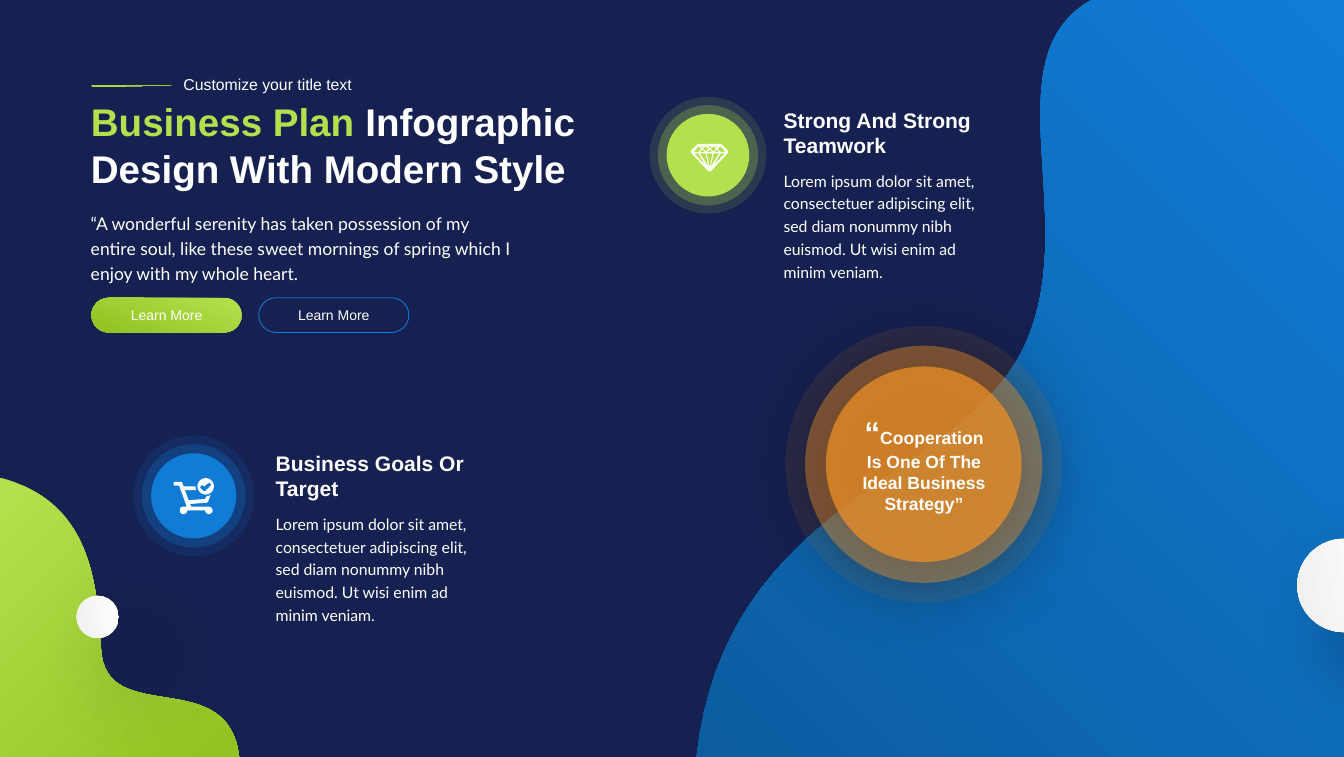
from dataclasses import dataclass
from math import cos, pi, sin

from lxml.etree import SubElement
from pptx import Presentation
from pptx.dml.color import RGBColor
from pptx.enum.shapes import MSO_SHAPE
from pptx.enum.text import MSO_ANCHOR, MSO_AUTO_SIZE, PP_ALIGN
from pptx.oxml.ns import qn
from pptx.util import Inches, Pt

NAVY = RGBColor(0x16, 0x21, 0x51)
BLUE = RGBColor(0x10, 0x7C, 0xD6)
DEEP_BLUE = RGBColor(0x0C, 0x5D, 0xA0)
LIME = RGBColor(0xB3, 0xE1, 0x4D)
GREEN = RGBColor(0x90, 0xC2, 0x21)
ORANGE = RGBColor(0xF6, 0x93, 0x26)
WHITE = RGBColor(0xFF, 0xFF, 0xFF)
PALE = RGBColor(0xF0, 0xF0, 0xF0)
LOREM = ("Lorem ipsum dolor sit amet, consectetuer adipiscing elit, "
         "sed diam nonummy nibh euismod. Ut wisi enim ad minim veniam.")


@dataclass
class Gradient:
    first: RGBColor
    last: RGBColor
    angle: float
    start: float = 0.01


@dataclass
class Badge:
    cx: float
    cy: float
    diameters: tuple
    color: RGBColor
    alphas: tuple = (13, 25, 100)


@dataclass
class Topic:
    heading: str
    left: float
    top: float
    body_width: float


def paint(fill, color) -> None:
    if isinstance(color, Gradient):
        fill.gradient()
        fill.gradient_angle = (360 - color.angle) % 360
        first, last = fill.gradient_stops
        first.color.rgb, first.position = color.first, color.start
        last.color.rgb, last.position = color.last, 1.0
    elif color is None:
        fill.background()
    else:
        fill.solid()
        fill.fore_color.rgb = color


def finish(sp, color):
    sp.shadow.inherit = False
    paint(sp.fill, color)
    sp.line.fill.background()
    return sp


def add_shadow(sp, blur: float, distance: float, angle: int) -> None:
    effects = sp._element.spPr.find(qn("a:effectLst"))
    shadow = SubElement(effects, qn("a:outerShdw"), blurRad=str(Pt(blur)), dist=str(Pt(distance)),
                        dir=str(angle * 60000), algn="ctr", rotWithShape="0")
    black = SubElement(shadow, qn("a:srgbClr"), val="000000")
    SubElement(black, qn("a:alpha"), val="40000")


def add_circle(s, cx: float, cy: float, d: float, color, alpha: int = 100):
    sp = s.shapes.add_shape(MSO_SHAPE.OVAL, Inches(cx - d / 2), Inches(cy - d / 2), Inches(d), Inches(d))
    finish(sp, color)
    if alpha < 100:
        clr = sp._element.spPr.find(qn("a:solidFill")).find(qn("a:srgbClr"))
        SubElement(clr, qn("a:alpha"), val=str(alpha * 1000))
    return sp


def flatten(steps: list, n: int = 32) -> list:
    points = []
    for step in steps:
        if len(step) == 2:
            points.append(step)
            continue
        x0, y0 = points[-1]
        x1, y1, x2, y2, x3, y3 = step
        for i in range(1, n + 1):
            t = i / n
            a, b, c, d = (1 - t) ** 3, 3 * t * (1 - t) ** 2, 3 * t * t * (1 - t), t ** 3
            points.append((a * x0 + b * x1 + c * x2 + d * x3, a * y0 + b * y1 + c * y2 + d * y3))
    return points


def add_outline(s, contours: list, color):
    contours = [[(Inches(x), Inches(y)) for x, y in flatten(c)] for c in contours]
    builder = s.shapes.build_freeform(*contours[0][0], scale=1.0)
    for i, points in enumerate(contours):
        if i:
            builder.move_to(*points[0])
        builder.add_line_segments(points[1:], close=True)
    return finish(builder.convert_to_shape(), color)


def add_text(s, box: tuple, text: str, size: int, font: str = "Arial", bold: bool = False, spacing=None):
    tf = s.shapes.add_textbox(*map(Inches, box)).text_frame
    tf.word_wrap = True
    tf.auto_size = MSO_AUTO_SIZE.SHAPE_TO_FIT_TEXT
    p = tf.paragraphs[0]
    p.line_spacing = spacing
    set_font(p.font, size, font, bold)
    p.add_run().text = text
    return p


def set_font(font, size: int, name: str = "Arial", bold: bool = False) -> None:
    font.size, font.name, font.bold = Pt(size), name, bold
    font.color.rgb = WHITE


def add_button(s, left: float, fill, line=None) -> None:
    sp = s.shapes.add_shape(MSO_SHAPE.ROUNDED_RECTANGLE, Inches(left), Inches(4.72), Inches(2.38), Inches(0.55))
    finish(sp, fill).adjustments[0] = 0.5
    if line is not None:
        sp.line.color.rgb, sp.line.width = line, Pt(1)
    sp.text_frame.vertical_anchor = MSO_ANCHOR.MIDDLE
    p = sp.text_frame.paragraphs[0]
    p.text, p.alignment = "Learn More", PP_ALIGN.CENTER
    set_font(p.font, 16)


def add_badge(s, badge: Badge) -> list:
    return [add_circle(s, badge.cx, badge.cy, d, badge.color, a)
            for d, a in zip(badge.diameters, badge.alphas)]


def add_topic(s, topic: Topic) -> None:
    add_text(s, (topic.left, topic.top, 3.69, 0.91), topic.heading, 24, bold=True)
    add_text(s, (topic.left, topic.top + 0.96, topic.body_width, 1.88), LOREM, 18, "Lato", spacing=1.2)


def add_title(s) -> None:
    title = s.shapes.title
    title.left, title.top, title.width, title.height = map(Inches, (1.34, 1.51, 8.24, 1.58))
    tf = title.text_frame
    tf.word_wrap, tf.auto_size, tf.vertical_anchor = True, MSO_AUTO_SIZE.NONE, MSO_ANCHOR.TOP
    p = tf.paragraphs[0]
    p.alignment = PP_ALIGN.LEFT
    for text, color in (("Business Plan ", Gradient(LIME, GREEN, 140)),
                        ("Infographic Design With Modern Style", WHITE)):
        r = p.add_run()
        r.text = text
        set_font(r.font, 44, bold=True)
        paint(r.font.fill, color)


def add_cart(s) -> None:
    badge = [(3.26 + 0.13 * cos(i * pi / 24), 7.71 + 0.13 * sin(i * pi / 24)) for i in range(48)]
    check = [(3.32, 7.65), (3.3, 7.66), (3.24, 7.71), (3.22, 7.7), (3.2, 7.69), (3.17, 7.72), (3.18, 7.74),
             (3.22, 7.78), (3.24, 7.79), (3.26, 7.78), (3.34, 7.7), (3.35, 7.68)]
    cart = [(2.99, 7.93), (3.25, 7.91), (3.27, 7.87), (3.3, 7.86, 3.32, 7.86, 3.34, 7.84), (3.3, 7.95),
            (3.29, 7.96, 3.28, 7.97, 3.27, 7.97), (3.01, 7.99), (3.03, 8.03), (3.31, 8.03),
            (3.34, 8.03, 3.37, 8.06, 3.37, 8.09), (3.37, 8.12, 3.34, 8.15, 3.31, 8.15),
            (3.28, 8.15, 3.25, 8.12, 3.25, 8.09), (2.97, 8.09), (2.97, 8.12, 2.94, 8.15, 2.91, 8.15),
            (2.87, 8.15, 2.85, 8.12, 2.85, 8.09), (2.85, 8.06, 2.87, 8.03, 2.91, 8.03), (2.96, 8.03),
            (2.84, 7.7), (2.78, 7.7), (2.76, 7.7, 2.75, 7.68, 2.75, 7.67), (2.75, 7.65, 2.76, 7.64, 2.78, 7.64),
            (2.87, 7.64), (2.88, 7.64, 2.89, 7.64, 2.89, 7.66), (2.91, 7.71), (3.1, 7.71),
            (3.1, 7.73, 3.1, 7.75, 3.11, 7.77), (2.93, 7.77)]
    add_outline(s, [badge, check, cart], WHITE)


def add_diamond(s) -> None:
    rim = [(11.53, 2.38), (11.44, 2.29), (11.41, 2.28), (11.08, 2.28), (11.05, 2.29), (10.96, 2.38), (10.95, 2.41),
           (10.96, 2.43), (11.22, 2.71), (11.25, 2.72), (11.27, 2.71), (11.53, 2.43), (11.54, 2.41)]
    middle = [[(11.25, 2.35), (11.2, 2.32), (11.29, 2.32)],
              [(11.29, 2.43), (11.25, 2.66), (11.2, 2.43)],
              [(11.29, 2.41), (11.2, 2.41), (11.25, 2.37)]]
    left = [[(11.07, 2.32), (11.12, 2.36), (11.07, 2.41), (10.99, 2.41)],
            [(11.18, 2.62), (11, 2.43), (11.07, 2.43)],
            [(11.18, 2.43), (11.23, 2.65), (11.09, 2.43)],
            [(11.13, 2.37), (11.18, 2.41), (11.09, 2.41)],
            [(11.13, 2.34), (11.09, 2.32), (11.16, 2.32)],
            [(11.19, 2.4), (11.14, 2.36), (11.18, 2.32), (11.23, 2.36)]]
    right = [[(22.49 - x, y) for x, y in facet] for facet in left]
    add_outline(s, [rim, *middle, *left, *right], WHITE)


def main() -> None:
    prs = Presentation()
    prs.slide_width, prs.slide_height = Inches(21.3), Inches(12)
    s = prs.slides.add_slide(prs.slide_layouts[5])
    paint(s.background.fill, NAVY)

    add_outline(s, [[(21.3, 0), (17.33, -0.02), (15.62, 0.89, 17.23, 3.6, 16.18, 5.6),
                     (15.13, 7.61, 11.49, 7.96, 11.04, 12), (21.3, 12)]], Gradient(BLUE, DEEP_BLUE, 135))
    add_outline(s, [[(0, 7.57), (1.33, 7.93, 1.54, 9.01, 1.6, 10.28), (1.66, 11.56, 3.62, 10.51, 3.79, 12),
                     (0, 12)]], Gradient(LIME, GREEN, 45))
    for cx, cy, d in ((21.3, 9.28, 1.48), (1.55, 9.78, 0.67)):
        add_shadow(add_circle(s, cx, cy, d, Gradient(WHITE, PALE, 170, 0)), 100, 64, 45)

    add_text(s, (2.81, 1.14, 3.67, 0.4), "Customize your title text", 18)
    add_outline(s, [[(1.48, 1.34), (2.04, 1.34, 2.49, 1.35, 2.72, 1.35), (2.55, 1.36, 2.53, 1.36, 1.83, 1.37),
                     (1.47, 1.37), (1.45, 1.35)]], Gradient(GREEN, LIME, 90, 0.05))
    add_title(s)
    add_text(s, (1.34, 3.26, 6.96, 1.28), "“A wonderful serenity has taken possession of my entire soul, like these "
             "sweet mornings of spring which I enjoy with my whole heart.", 20, "Lato", spacing=1.2)
    add_button(s, 1.45, Gradient(LIME, GREEN, 110, 0))
    add_button(s, 4.1, None, BLUE)

    rings = add_badge(s, Badge(14.64, 7.36, (4.39, 3.76, 3.1), ORANGE, (10, 40, 70)))
    add_shadow(rings[1], 84, 4, 90)
    p = add_text(s, (13.48, 6.5, 2.33, 1.72), "“", 20, bold=True)
    p.alignment = PP_ALIGN.CENTER
    p.runs[0].font.size = Pt(36)
    p.add_run().text = "Cooperation Is One Of The Ideal Business Strategy”"

    add_badge(s, Badge(3.07, 7.86, (1.92, 1.64, 1.35), BLUE))
    add_cart(s)
    add_topic(s, Topic("Business Goals Or Target", 4.27, 7.09, 3.45))
    add_badge(s, Badge(11.22, 2.46, (1.85, 1.59, 1.31), LIME))
    add_diamond(s)
    add_topic(s, Topic("Strong And Strong Teamwork", 12.32, 1.65, 3.25))
    prs.save("out.pptx")


if __name__ == "__main__":
    main()
